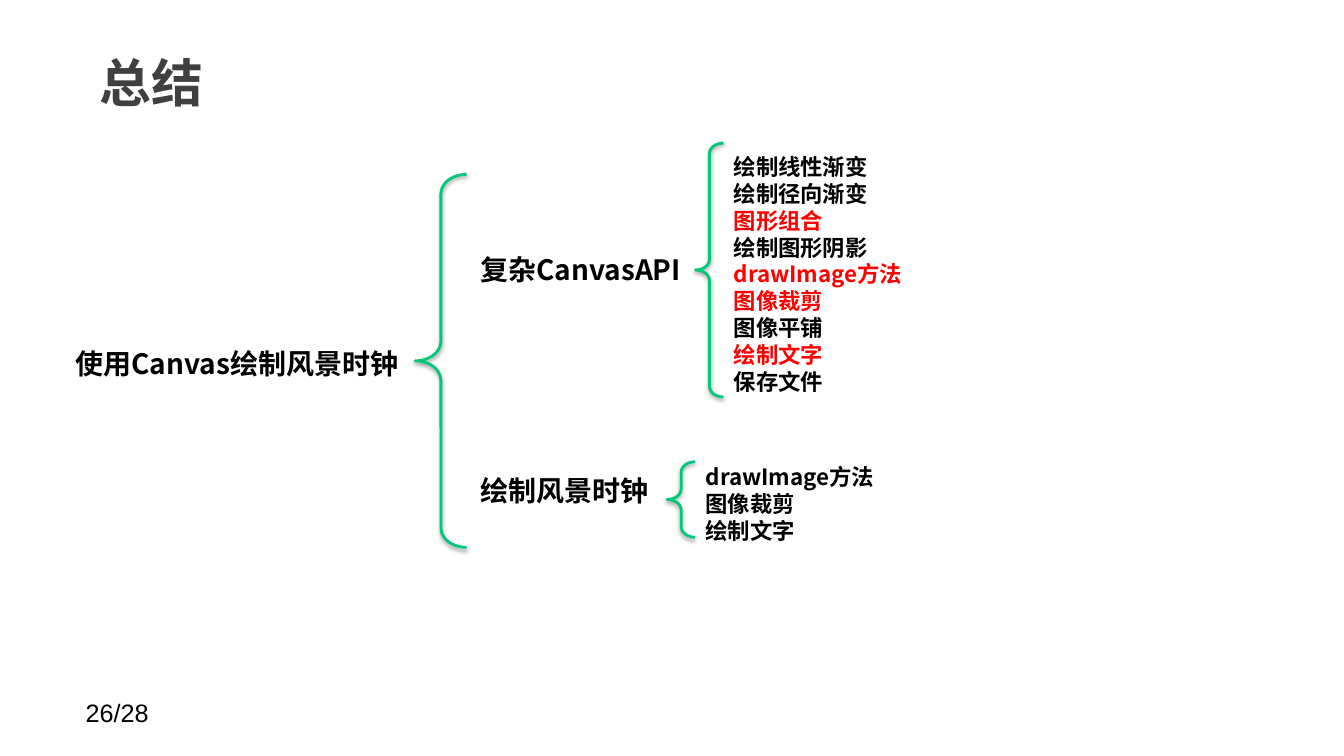
"""Build the summary slide: a brace tree of canvas topics."""
from lxml import etree
from pptx import Presentation
from pptx.dml.color import RGBColor
from pptx.enum import shapes, text
from pptx.oxml import ns
from pptx.util import Pt

BLACK = RGBColor(0, 0, 0)
GRAY = RGBColor(0x40, 0x40, 0x40)
RED = RGBColor(0xFF, 0, 0)
GREEN = RGBColor(0, 0xC7, 0x7A)
SANS = "Noto Sans CJK SC"

TITLE = "总结"
PAGE = "26/28"
LABELS = [
    ("使用Canvas绘制风景时钟", 53.6, 259.7),
    ("复杂CanvasAPI", 342.9, 192.6),
    ("绘制风景时钟", 342.9, 350.4),
]
LISTS = [
    (["绘制线性渐变", "绘制径向渐变", "图形组合", "绘制图形阴影", "drawImage方法",
      "图像裁剪", "图像平铺", "绘制文字", "保存文件"], 517, 105.8),
    (["drawImage方法", "图像裁剪", "绘制文字"], 497, 327.2),
]
KEYS = {(0, 2), (0, 4), (0, 5), (0, 7)}
BRACES = [
    (296.6, 124.6, 36.7, 266.4),
    (496.8, 102.2, 20, 181.4),
    (476.6, 329.8, 20, 54),
]
PITCH = 19.2


def style(para, size, color=BLACK, bold=True, name=SANS):
    font = para.font
    font.size, font.bold, font.name = Pt(size), bold, name
    font.color.rgb = color
    for run in para.runs:
        props = run.font._element if hasattr(run.font, "_element") else run._r.get_or_add_rPr()
        etree.SubElement(props, ns.qn("a:ea"), typeface=name)


def write(lines, x, y, w, h):
    frame = slide.shapes.add_textbox(Pt(x), Pt(y), Pt(w), Pt(h)).text_frame
    frame.word_wrap = True
    frame.text = "\n".join(lines)
    return frame


def brace(x, y, w, h):
    shape = slide.shapes.add_shape(
        shapes.MSO_SHAPE.LEFT_BRACE, Pt(x), Pt(y), Pt(w), Pt(h))
    shape.adjustments[0] = 0.376
    shape.fill.background()
    shape.line.color.rgb = GREEN
    shape.line.width = Pt(2)
    shape.shadow.inherit = False
    glow = etree.SubElement(
        shape._element.spPr.find(ns.qn("a:effectLst")), ns.qn("a:outerShdw"),
        blurRad=str(Pt(3.1)), dist=str(Pt(1.6)), dir="5400000", rotWithShape="0")
    tint = etree.SubElement(glow, ns.qn("a:srgbClr"), val=str(BLACK))
    etree.SubElement(tint, ns.qn("a:alpha"), val="38000")


deck = Presentation()
deck.slide_width, deck.slide_height = Pt(960), Pt(540)
slide = deck.slides.add_slide(deck.slide_layouts[5])

head = slide.shapes.title
head.left, head.top, head.width, head.height = Pt(62), Pt(21.6), Pt(749.5), Pt(74)
frame = head.text_frame
frame.text = TITLE
frame.vertical_anchor = text.MSO_ANCHOR.MIDDLE
frame.margin_left = frame.margin_right = Pt(9.4)
frame.paragraphs[0].alignment = text.PP_ALIGN.LEFT
style(frame.paragraphs[0], 37, GRAY)

for label, x, mid in LABELS:
    frame = write([label], x, mid - 15, 273, 30)
    frame.margin_left = frame.margin_right = 0
    frame.margin_top = frame.margin_bottom = 0
    frame.vertical_anchor = text.MSO_ANCHOR.MIDDLE
    style(frame.paragraphs[0], 20)

for part in BRACES:
    brace(*part)

for group, (items, x, y) in enumerate(LISTS):
    frame = write(items, x, y, 200, PITCH * len(items) + 8)
    for row, para in enumerate(frame.paragraphs):
        para.line_spacing = Pt(PITCH)
        style(para, 16, RED if (group, row) in KEYS else BLACK)

frame = write([PAGE], 54, 494.6, 168, 29)
style(frame.paragraphs[0], 18, bold=False, name="Arial")

deck.save("out.pptx")
